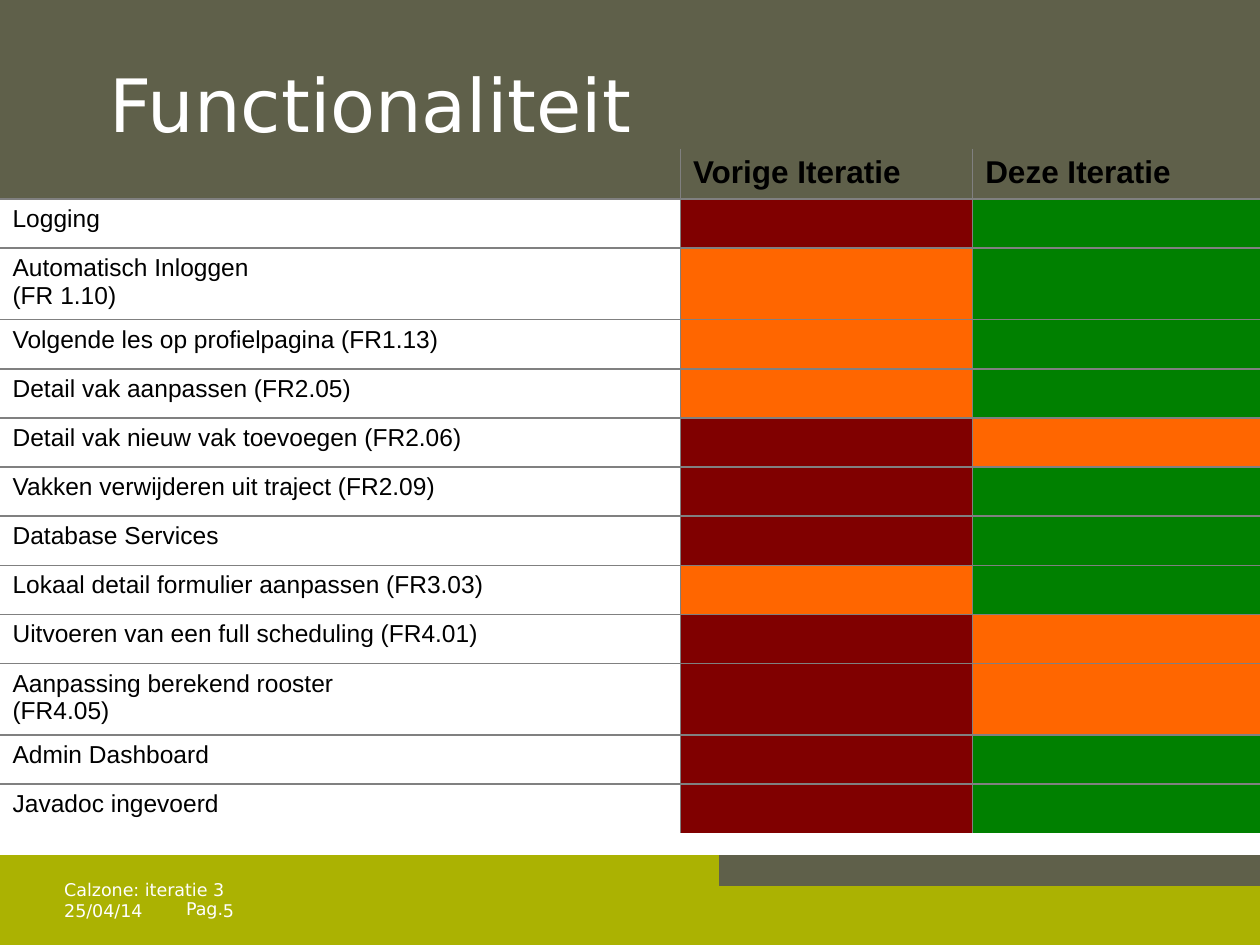
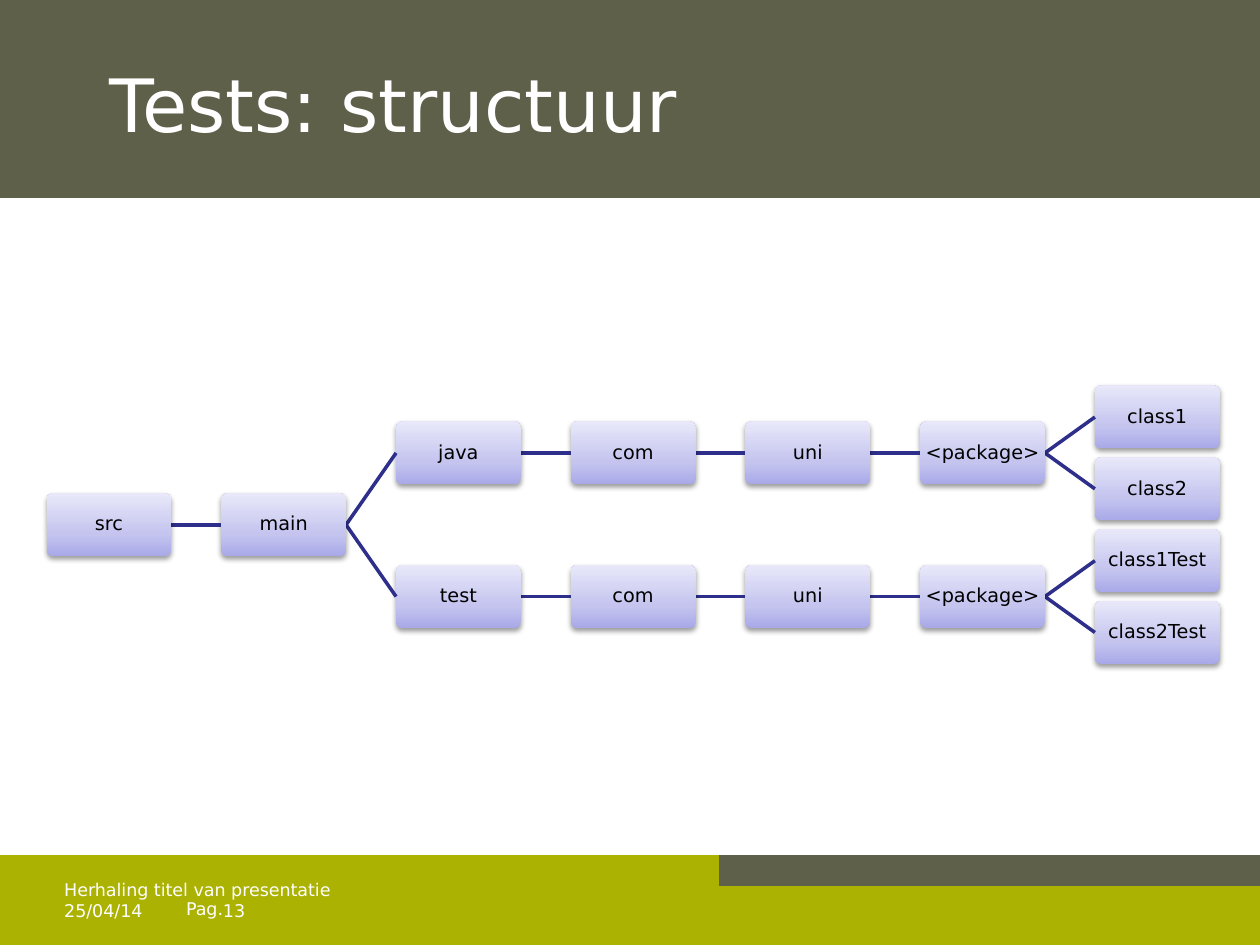
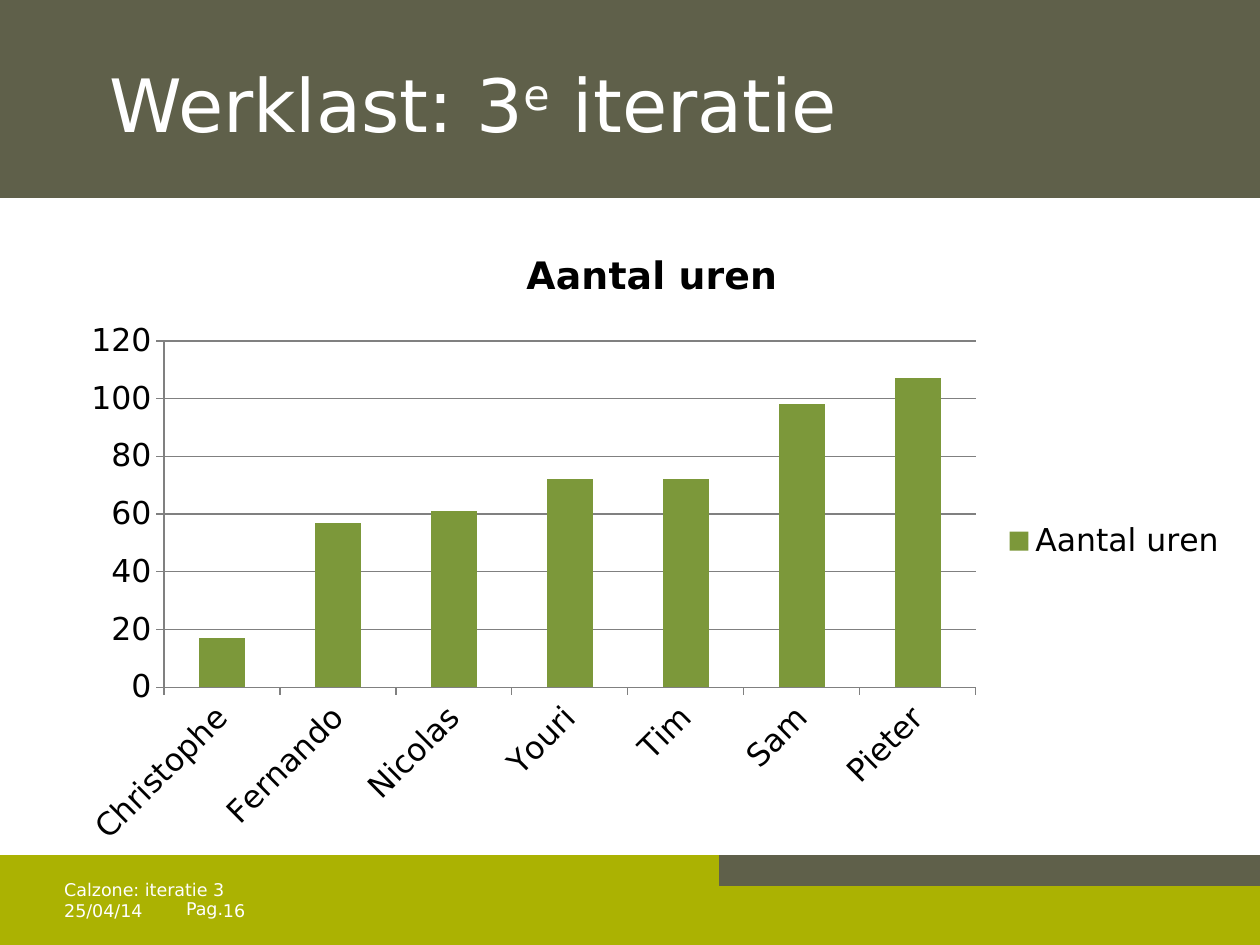
import copy
import dataclasses

import pptx
import pptx.chart.data
import pptx.dml.color
import pptx.enum.chart
import pptx.enum.shapes
import pptx.enum.text
import pptx.oxml
import pptx.oxml.ns
import pptx.util
from lxml import etree

COLOURS = {
    "olive": "5F604A", "lime": "ABB202", "white": "FFFFFF", "black": "000000",
    "grey": "808080", "red": "800000", "orange": "FF6600", "green": "008000",
    "bar": "7C983A", "link": "2E2E8B",
    "node_low": "A9A9E9", "node_mid": "C4C4EF", "node_high": "E8E8FA",
}
BODY_FONT = "DejaVu Sans"
TABLE_FONT = "Arial"
COLUMNS, ROWS = 100, 75
CELL = pptx.util.Inches(0.1)
NAMESPACE = pptx.oxml.ns.nsdecls("a")
ANCHOR = pptx.enum.text.MSO_ANCHOR
ALIGN = pptx.enum.text.PP_ALIGN
SHAPE = pptx.enum.shapes.MSO_SHAPE


@dataclasses.dataclass
class Box:
    left: float
    top: float
    width: float
    height: float

    def inner(self, left, top, width, height):
        return Box(self.left + left, self.top + top, width, height)

    def emu(self):
        return [round(value * CELL) for value in dataclasses.astuple(self)]


PAGE = Box(0, 0, COLUMNS, ROWS)
HEADER = PAGE.inner(0, 0, COLUMNS, 15.7)
FOOTER = PAGE.inner(0, 67.9, COLUMNS, 7.1)


def rgb(name):
    return pptx.dml.color.RGBColor.from_string(COLOURS[name])


def style_font(font, size, colour, name=BODY_FONT, bold=False):
    font.size = pptx.util.Pt(size)
    font.name = name
    font.bold = bold
    font.color.rgb = rgb(colour)


def style_runs(frame, *style, **options):
    for para in frame.paragraphs:
        for span in para.runs:
            style_font(span.font, *style, **options)


def set_margins(frame, left=0, top=0, right=0, bottom=0):
    frame.margin_left, frame.margin_top = round(left * CELL), round(top * CELL)
    frame.margin_right, frame.margin_bottom = round(right * CELL), round(bottom * CELL)


def add_band(page, box, colour):
    band = page.shapes.add_shape(SHAPE.RECTANGLE, *box.emu())
    band.shadow.inherit = False
    band.fill.solid()
    band.fill.fore_color.rgb = rgb(colour)
    band.line.color.rgb = rgb(colour)
    band.line.width = pptx.util.Pt(0.75)


def add_footer_text(page, box, text, anchor=ANCHOR.TOP, align=ALIGN.LEFT):
    frame = page.shapes.add_textbox(*box.emu()).text_frame
    frame.word_wrap = True
    set_margins(frame)
    frame.vertical_anchor = anchor
    frame.text = text
    frame.paragraphs[0].alignment = align
    style_runs(frame, 10, "white")


def add_footer(page, box, caption, number):
    add_band(page, box, "lime")
    add_band(page, box.inner(57.1, 0, 42.9, 2.4), "olive")
    add_footer_text(page, box.inner(13.8, 3.4, 3.9, 1.7), "Pag.", align=ALIGN.RIGHT)
    add_footer_text(page, box.inner(5.1, 3.5, 8.4, 2.3), "25/04/14")
    add_footer_text(page, box.inner(17.7, 3.5, 3.3, 2.3), str(number))
    add_footer_text(page, box.inner(5.1, 1.1, 29.1, 2.4), caption, ANCHOR.BOTTOM)


def add_title(page, box, pieces):
    title = page.shapes.title
    title.left, title.top, title.width, title.height = box.emu()
    title.fill.solid()
    title.fill.fore_color.rgb = rgb("olive")
    frame = title.text_frame
    frame.auto_size = pptx.enum.text.MSO_AUTO_SIZE.NONE
    frame.vertical_anchor = ANCHOR.TOP
    set_margins(frame, left=8.7, top=4.7)
    para = frame.paragraphs[0]
    para.alignment = ALIGN.LEFT
    for text, baseline in pieces:
        span = para.add_run()
        span.text = text
        style_font(span.font, 42, "white")
        if baseline:
            span._r.get_or_add_rPr().set("baseline", str(baseline * 1000))


def add_page(deck, pieces, caption, number):
    page = deck.slides.add_slide(deck.slide_layouts[5])
    add_title(page, HEADER, pieces)
    add_footer(page, FOOTER, caption, number)
    return page


def set_borders(cell, sides):
    properties = cell._tc.get_or_add_tcPr()
    for index, side in enumerate("LRTB"):
        if side in sides:
            content = f'<a:solidFill><a:srgbClr val="{COLOURS["grey"]}"/></a:solidFill>'
        else:
            content = "<a:noFill/>"
        properties.insert(index, pptx.oxml.parse_xml(
            f'<a:ln{side} {NAMESPACE} w="12700">{content}</a:ln{side}>'))


def fill_cell(cell, text, colour, header):
    cell.text = text
    style_runs(cell.text_frame, 18 if header else 14, "black", name=TABLE_FONT, bold=header)
    if not text:
        etree.SubElement(cell.text_frame.paragraphs[0]._p,
                         pptx.oxml.ns.qn("a:endParaRPr"), sz="1400")
    if colour:
        cell.fill.solid()
        cell.fill.fore_color.rgb = rgb(colour)
    else:
        cell.fill.background()


def add_status_table(page, box, headings, features):
    records = [[(text, None) for text in headings]]
    records += [[(text, None), ("", before), ("", now)] for text, before, now in features]
    last_row, last_column = len(records) - 1, len(headings) - 1
    table = page.shapes.add_table(len(records), len(headings), *box.emu()).table
    table.first_row = table.horz_banding = False
    style = table._tbl.tblPr.find(pptx.oxml.ns.qn("a:tableStyleId"))
    style.text = "{2D5ABB26-0587-4C30-8999-92F81FD0307C}"
    for column, width in zip(table.columns, (54, 23.2, 22.8)):
        column.width = round(width * CELL)
    for row, record in enumerate(records):
        table.rows[row].height = round((5.4 if "\n" in record[0][0] else 3.9) * CELL)
        for column, (text, colour) in enumerate(record):
            cell = table.cell(row, column)
            fill_cell(cell, text, colour, row == 0)
            sides = {"L": column > 0, "R": column < last_column,
                     "T": row > 0, "B": row < last_row}
            set_borders(cell, [side for side, shown in sides.items() if shown])


def add_node(page, box, label):
    node = page.shapes.add_shape(SHAPE.ROUNDED_RECTANGLE, *box.emu())
    node.adjustments[0] = 0.1
    node.line.fill.background()
    node.fill.gradient()
    node.fill.gradient_angle = 90
    stop_list = next(node._element.spPr.iter(pptx.oxml.ns.qn("a:gsLst")))
    stop_list.insert(1, copy.deepcopy(stop_list[0]))
    shades = ((0, "node_low"), (0.35, "node_mid"), (1, "node_high"))
    for stop, (position, colour) in zip(node.fill.gradient_stops, shades):
        stop.position = position
        stop.color.rgb = rgb(colour)
    node.shadow.inherit = False
    effects = node._element.spPr.find(pptx.oxml.ns.qn("a:effectLst"))
    effects.append(pptx.oxml.parse_xml(
        f'<a:outerShdw {NAMESPACE} blurRad="40000" dist="20000" dir="5400000" '
        f'rotWithShape="0"><a:srgbClr val="{COLOURS["black"]}">'
        '<a:alpha val="38000"/></a:srgbClr></a:outerShdw>'))
    frame = node.text_frame
    frame.word_wrap = True
    set_margins(frame, 0.2, 0.2, 0.2, 0.2)
    frame.vertical_anchor = ANCHOR.MIDDLE
    frame.text = label
    frame.paragraphs[0].alignment = ALIGN.CENTER
    frame.paragraphs[0].line_spacing = 0.9
    style_runs(frame, 11, "black")


def add_link(page, start, end):
    points = [round(value * CELL) for value in (*start, *end)]
    link = page.shapes.add_connector(pptx.enum.shapes.MSO_CONNECTOR.STRAIGHT, *points)
    link.line.color.rgb = rgb("link")
    link.line.width = pptx.util.Pt(2)
    etree.SubElement(link._element.spPr, pptx.oxml.ns.qn("a:effectLst"))


def count_leaves(branch):
    return sum(map(count_leaves, branch[1:])) or 1


def count_levels(branch):
    return 1 + max(map(count_levels, branch[1:]), default=0)


def add_tree(page, box, tree):
    node_width, node_height = 9.9, 5
    column_step = (box.width - node_width) / (count_levels(tree) - 1)
    row_step = (box.height - node_height) / (count_leaves(tree) - 1)

    def add_branch(branch, level, first_leaf):
        label, *children = branch
        left = level * column_step
        middles, leaf = [], first_leaf
        for child in children:
            middles.append(add_branch(child, level + 1, leaf))
            leaf += count_leaves(child)
        if middles:
            middle = sum(middles) / len(middles)
        else:
            middle = first_leaf * row_step + node_height / 2
        for target in middles:
            add_link(page, (box.left + left + node_width, box.top + middle),
                     (box.left + left + column_step, box.top + target))
        add_node(page, box.inner(left, middle - node_height / 2, node_width, node_height), label)
        return middle

    add_branch(tree, 0, 0)


def add_hours_chart(page, box, name, hours):
    data = pptx.chart.data.CategoryChartData()
    data.categories = list(hours)
    data.add_series(name, list(hours.values()))
    kind = pptx.enum.chart.XL_CHART_TYPE.COLUMN_CLUSTERED
    chart = page.shapes.add_chart(kind, *box.emu(), data).chart
    style_font(chart.font, 18, "black")
    chart.has_title = True
    chart.chart_title.text_frame.text = name
    style_runs(chart.chart_title.text_frame, 21.6, "black", bold=True)
    chart.has_legend = True
    chart.legend.position = pptx.enum.chart.XL_LEGEND_POSITION.RIGHT
    chart.legend.include_in_layout = False
    plot = chart.plots[0]
    plot.gap_width = 150
    plot.vary_by_categories = False
    plot.series[0].format.fill.solid()
    plot.series[0].format.fill.fore_color.rgb = rgb("bar")
    people, scale = chart.category_axis, chart.value_axis
    scale.minimum_scale, scale.maximum_scale, scale.major_unit = 0, 120, 20
    scale.has_major_gridlines = True
    for line in (people.format.line, scale.format.line, scale.major_gridlines.format.line):
        line.color.rgb = rgb("grey")
        line.width = pptx.util.Pt(0.75)
    for axis in (people, scale):
        axis.major_tick_mark = pptx.enum.chart.XL_TICK_MARK.OUTSIDE
        style_font(axis.tick_labels.font, 18, "black")
    next(people._element.iter(pptx.oxml.ns.qn("a:bodyPr"))).set("rot", "-2700000")


HEADINGS = ("", "Vorige Iteratie", "Deze Iteratie")
FEATURES = (
    ("Logging", "red", "green"),
    ("Automatisch Inloggen\n(FR 1.10)", "orange", "green"),
    ("Volgende les op profielpagina (FR1.13)", "orange", "green"),
    ("Detail vak aanpassen (FR2.05)", "orange", "green"),
    ("Detail vak nieuw vak toevoegen (FR2.06)", "red", "orange"),
    ("Vakken verwijderen uit traject (FR2.09)", "red", "green"),
    ("Database Services", "red", "green"),
    ("Lokaal detail formulier aanpassen (FR3.03)", "orange", "green"),
    ("Uitvoeren van een full scheduling (FR4.01)", "red", "orange"),
    ("Aanpassing berekend rooster\n(FR4.05)", "red", "orange"),
    ("Admin Dashboard", "red", "green"),
    ("Javadoc ingevoerd", "red", "green"),
)
HOURS = {"Christophe": 17, "Fernando": 57, "Nicolas": 61, "Youri": 72,
         "Tim": 72, "Sam": 98, "Pieter": 107}


def source_branch(folder, *classes):
    package_branch = ("<package>", *((name,) for name in classes))
    return (folder, ("com", ("uni", package_branch)))


SOURCE_TREE = ("src", ("main", source_branch("java", "class1", "class2"),
                       source_branch("test", "class1Test", "class2Test")))

deck = pptx.Presentation()
deck.slide_width, deck.slide_height = COLUMNS * CELL, ROWS * CELL

features_page = add_page(deck, [("Functionaliteit", 0)], "Calzone: iteratie 3", 5)
add_status_table(features_page, PAGE.inner(0, 11.8, COLUMNS, 53.7), HEADINGS, FEATURES)

tests_page = add_page(deck, [("Tests: structuur", 0)], "Herhaling titel van presentatie", 13)
add_tree(tests_page, PAGE.inner(3.7, 30.6, 93.1, 22.1), SOURCE_TREE)

workload_page = add_page(deck, [("Werklast: 3", 0), ("e", 30), (" iteratie", 0)],
                         "Calzone: iteratie 3", 16)
add_hours_chart(workload_page, PAGE.inner(5.1, 17.7, 93.3, 50.5), "Aantal uren", HOURS)

deck.save("out.pptx")
